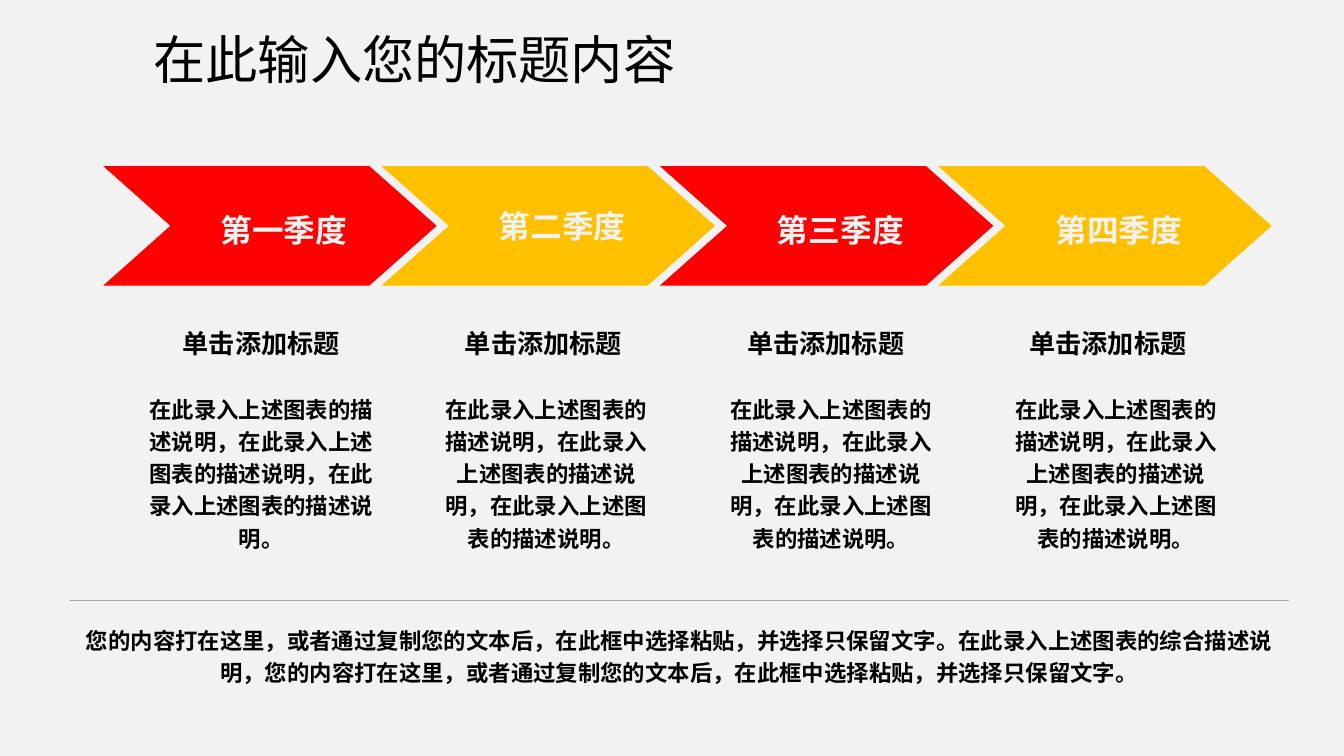
from dataclasses import dataclass

from lxml.etree import SubElement
from pptx import Presentation
from pptx.dml.color import RGBColor
from pptx.enum.shapes import MSO_CONNECTOR, MSO_SHAPE
from pptx.enum.text import MSO_ANCHOR, MSO_AUTO_SIZE, PP_ALIGN
from pptx.oxml.ns import qn
from pptx.util import Pt


@dataclass(frozen=True)
class Theme:
    background: RGBColor = RGBColor(0xF2, 0xF2, 0xF2)
    text: RGBColor = RGBColor(0, 0, 0)
    red: RGBColor = RGBColor(0xFF, 0, 0)
    amber: RGBColor = RGBColor(0xFF, 0xC0, 0)
    rule: RGBColor = RGBColor(0xA6, 0xA6, 0xA6)
    font: str = "Noto Sans CJK SC"
    label_font: str = "Arial"
    title_size: int = 28
    label_size: int = 17
    heading_size: int = 14
    body_size: int = 12


THEME = Theme()
DESCRIPTION = "在此录入上述图表的描述说明，在此录入上述图表的描述说明，在此录入上述图表的描述说明。"
SUMMARY = (
    "您的内容打在这里，或者通过复制您的文本后，在此框中选择粘贴，并选择只保留文字。"
    "在此录入上述图表的综合描述说明，您的内容打在这里，或者通过复制您的文本后，"
    "在此框中选择粘贴，并选择只保留文字。"
)
QUARTERS = [
    ("第一季度", THEME.red, 1.2, 134),
    ("第二季度", THEME.amber, 1.0, 131),
    ("第三季度", THEME.red, 1.2, 131),
    ("第四季度", THEME.amber, 1.2, 131),
]


def write_text(text_frame, text, size, color=THEME.text, bold=True,
               font=THEME.font, align=PP_ALIGN.CENTER, spacing=1.0):
    text_frame.text = text
    paragraph = text_frame.paragraphs[0]
    paragraph.alignment = align
    paragraph.line_spacing = spacing
    paragraph._element.get_or_add_pPr().set("hangingPunct", "0")
    run = paragraph.runs[0]
    run.font.size = Pt(size)
    run.font.bold = bold
    run.font.name = font
    run.font.color.rgb = color
    east_asian = SubElement(run.font._element, qn("a:ea"))
    east_asian.set("typeface", THEME.font)


def set_margins(text_frame, horizontal, vertical):
    text_frame.margin_left = text_frame.margin_right = Pt(horizontal)
    text_frame.margin_top = text_frame.margin_bottom = Pt(vertical)


def add_title(slide, text):
    title = slide.shapes.title
    title.left, title.top, title.width, title.height = Pt(75), Pt(11), Pt(305), Pt(41)
    text_frame = title.text_frame
    text_frame.vertical_anchor = MSO_ANCHOR.TOP
    text_frame.auto_size = MSO_AUTO_SIZE.NONE
    set_margins(text_frame, 7.2, 3.6)
    write_text(text_frame, text, THEME.title_size, bold=False, align=PP_ALIGN.LEFT)


def add_chevron(slide, left, label, color, spacing):
    width, height, point = 178.6, 64, 36
    chevron = slide.shapes.add_shape(
        MSO_SHAPE.CHEVRON, Pt(left), Pt(89), Pt(width), Pt(height))
    chevron.adjustments[0] = point / height
    chevron.shadow.inherit = False
    chevron.fill.solid()
    chevron.fill.fore_color.rgb = color
    chevron.line.fill.background()
    text_frame = chevron.text_frame
    text_frame.vertical_anchor = MSO_ANCHOR.MIDDLE
    set_margins(text_frame, 0, 0)
    text_frame.margin_left = Pt(15)
    write_text(text_frame, label, THEME.label_size, THEME.background,
               font=THEME.label_font, spacing=spacing)


def add_text_box(slide, center, top, width, height, text, size, spacing=1.2):
    box = slide.shapes.add_textbox(Pt(center - width / 2), Pt(top), Pt(width), Pt(height))
    text_frame = box.text_frame
    text_frame.word_wrap = True
    set_margins(text_frame, 6.5, 3)
    write_text(text_frame, text, size, spacing=spacing)


def add_rule(slide, left, right, top):
    rule = slide.shapes.add_connector(
        MSO_CONNECTOR.STRAIGHT, Pt(left), Pt(top), Pt(right), Pt(top))
    rule.line.color.rgb = THEME.rule
    rule.line.width = Pt(0.75)
    SubElement(rule._element.spPr, qn("a:effectLst"))


def main():
    presentation = Presentation()
    presentation.slide_width, presentation.slide_height = Pt(720), Pt(405)
    slide = presentation.slides.add_slide(presentation.slide_layouts[5])
    slide.background.fill.solid()
    slide.background.fill.fore_color.rgb = THEME.background

    add_title(slide, "在此输入您的标题内容")
    for index, (label, color, spacing, body_width) in enumerate(QUARTERS):
        add_chevron(slide, 55.3 + 149.1 * index, label, color, spacing)
        add_text_box(slide, 140 + 151.2 * index, 172.4, 104, 23, "单击添加标题",
                     THEME.heading_size, spacing=1.0)
        add_text_box(slide, 140 + 152.6 * index, 206.2, body_width, 94, DESCRIPTION,
                     THEME.body_size)
    add_rule(slide, 37.5, 690.5, 321.8)
    add_text_box(slide, 364, 330.2, 654.5, 41, SUMMARY, THEME.body_size)

    presentation.save("out.pptx")


if __name__ == "__main__":
    main()
